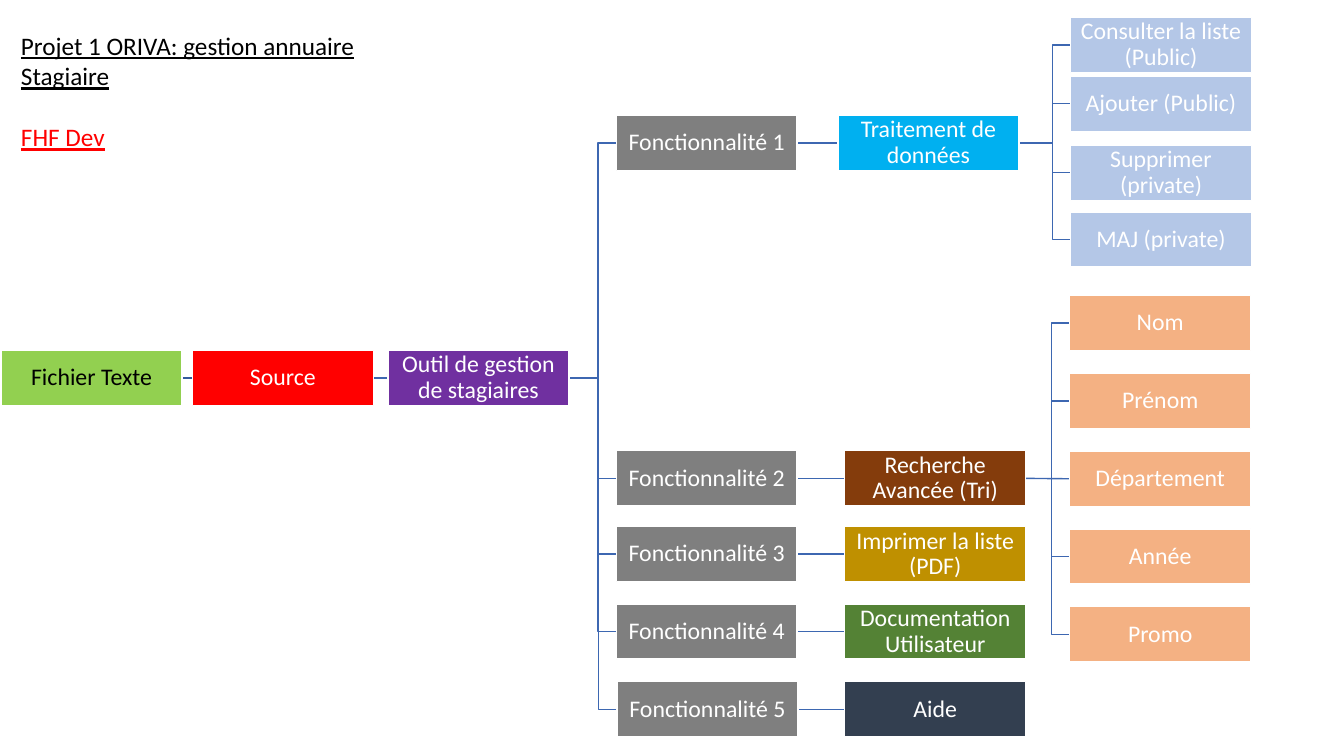
"""Build the feature tree slide of the trainee directory project."""
from lxml import etree
from pptx import Presentation
from pptx.dml.color import RGBColor
from pptx.enum.shapes import MSO_CONNECTOR, MSO_SHAPE
from pptx.enum.text import MSO_ANCHOR, MSO_AUTO_SIZE, PP_ALIGN
from pptx.oxml.ns import qn
from pptx.util import Cm, Pt

STRAIGHT, ELBOW = MSO_CONNECTOR.STRAIGHT, MSO_CONNECTOR.ELBOW
RECTANGLE = MSO_SHAPE.RECTANGLE
MIDDLE, CENTER = MSO_ANCHOR.MIDDLE, PP_ALIGN.CENTER
FIT_SHAPE = MSO_AUTO_SIZE.SHAPE_TO_FIT_TEXT
LEFT_SITE, RIGHT_SITE = 1, 3

COLORS = {
    "white": "FFFFFF", "black": "000000", "red": "FF0000",
    "link": "3D67B1", "root_link": "34599C", "file": "92D050",
    "tool": "7030A0", "feature": "7F7F7F", "data": "00B0F0",
    "action": "B4C7E7", "search": "843C0C", "field": "F4B183",
    "print": "BF9000", "manual": "548235", "help": "333F50",
}
FONT = "Calibri"
BOX_WIDTH, BOX_HEIGHT = 4.56, 1.39
BEND_GAP = 0.46

FILE, SOURCE, TOOL = "Fichier Texte", "Source", "Outil de gestion de stagiaires"
DATA, SEARCH = "Traitement de données", "Recherche Avancée (Tri)"

nodes = [
    (FILE, None, 0.03, 8.83, "file"),
    (SOURCE, FILE, 4.85, 8.83, "red"),
    (TOOL, SOURCE, 9.78, 8.83, "tool"),
]
features = [
    (15.53, 2.91, DATA, 21.12, "data"),
    (15.53, 11.36, SEARCH, 21.29, "search"),
    (15.53, 13.27, "Imprimer la liste (PDF)", 21.29, "print"),
    (15.53, 15.22, "Documentation Utilisateur", 21.29, "manual"),
    (15.55, 17.18, "Aide", 21.29, "help"),
]
for number, (left, top, purpose, purpose_left, color) in enumerate(features, 1):
    feature = f"Fonctionnalité {number}"
    nodes.append((feature, TOOL, left, top, "feature"))
    nodes.append((purpose, feature, purpose_left, top, color))
actions = [("Consulter la liste (Public)", 0.44), ("Ajouter (Public)", 1.92),
           ("Supprimer (private)", 3.66), ("MAJ (private)", 5.34)]
for action, top in actions:
    nodes.append((action, DATA, 26.98, top, "action"))
for row, field in enumerate(["Nom", "Prénom", "Département", "Année", "Promo"]):
    nodes.append((field, SEARCH, 26.96, 7.45 + 1.96 * row, "field"))


def rgb(name):
    return RGBColor.from_string(COLORS[name])


def style_run(run, size, color):
    run.font.name = FONT
    run.font.size = Pt(size)
    run.font.color.rgb = rgb(color)


deck = Presentation()
deck.slide_width, deck.slide_height = Cm(33.87), Cm(19.05)
slide = deck.slides.add_slide(deck.slide_layouts[6])

places = {label: (left, top) for label, parent, left, top, color in nodes}
links = []
for label, parent, left, top, color in nodes:
    if parent is None:
        continue
    parent_left, parent_top = places[parent]
    start = parent_left + BOX_WIDTH
    level = abs(top - parent_top) < 0.05
    link = slide.shapes.add_connector(
        STRAIGHT if level else ELBOW,
        Cm(start), Cm(parent_top + BOX_HEIGHT / 2),
        Cm(left), Cm(top + BOX_HEIGHT / 2))
    link.line.color.rgb = rgb("root_link" if parent == FILE else "link")
    link.line.width = Pt(1)
    properties = link._element.spPr
    etree.SubElement(properties, qn("a:effectLst"))
    if not level:
        bend = round(100000 * (1 - BEND_GAP / (left - start)))
        guides = properties.find(".//" + qn("a:avLst"))
        etree.SubElement(guides, qn("a:gd"), name="adj1", fmla=f"val {bend}")
    links.append((link, parent, label))

boxes = {}
for label, parent, left, top, color in nodes:
    box = slide.shapes.add_shape(
        RECTANGLE, Cm(left), Cm(top), Cm(BOX_WIDTH), Cm(BOX_HEIGHT))
    box.shadow.inherit = False
    box.fill.solid()
    box.fill.fore_color.rgb = rgb(color)
    box.line.color.rgb = rgb("white")
    box.line.width = Pt(1)
    frame = box.text_frame
    frame.word_wrap = True
    frame.vertical_anchor = MIDDLE
    frame.margin_left = frame.margin_right = Cm(0.03)
    frame.margin_top = frame.margin_bottom = Cm(0.03)
    frame.text = label
    paragraph = frame.paragraphs[0]
    paragraph.alignment = CENTER
    paragraph.line_spacing = 0.9
    paragraph.space_after = Pt(7)
    style_run(paragraph.runs[0], 17, "black" if label == FILE else "white")
    boxes[label] = box

for link, parent, label in links:
    link.begin_connect(boxes[parent], RIGHT_SITE)
    link.end_connect(boxes[label], LEFT_SITE)

heading = slide.shapes.add_textbox(Cm(0.28), Cm(0.64), Cm(11.07), Cm(2.57))
heading_frame = heading.text_frame
heading_frame.word_wrap = False
heading_frame.auto_size = FIT_SHAPE
heading_frame.text = "Projet 1 ORIVA: gestion annuaire Stagiaire\nFHF Dev"
for paragraph, color in zip(heading_frame.paragraphs, ["black", "red"]):
    style_run(paragraph.runs[0], 18, color)
    paragraph.runs[0].font.underline = True
heading_frame.paragraphs[1].space_before = Pt(22)

deck.save("out.pptx")
